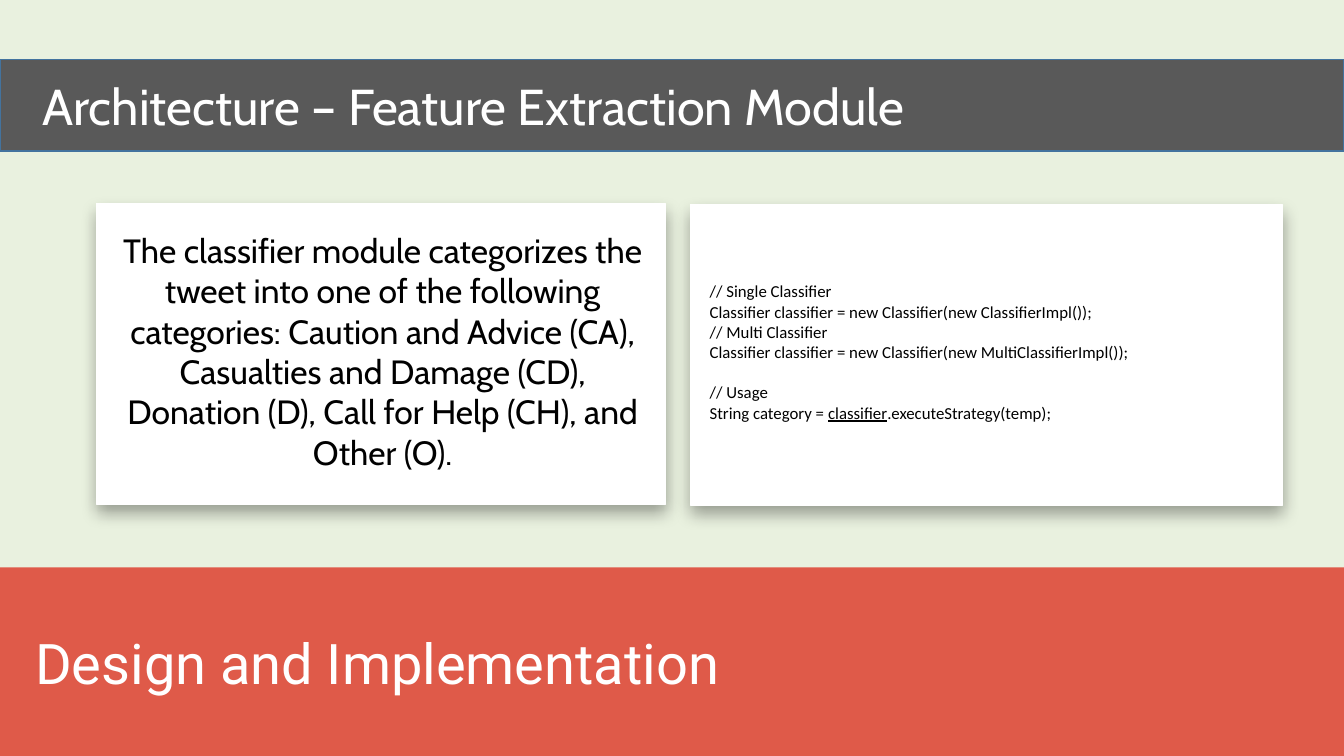
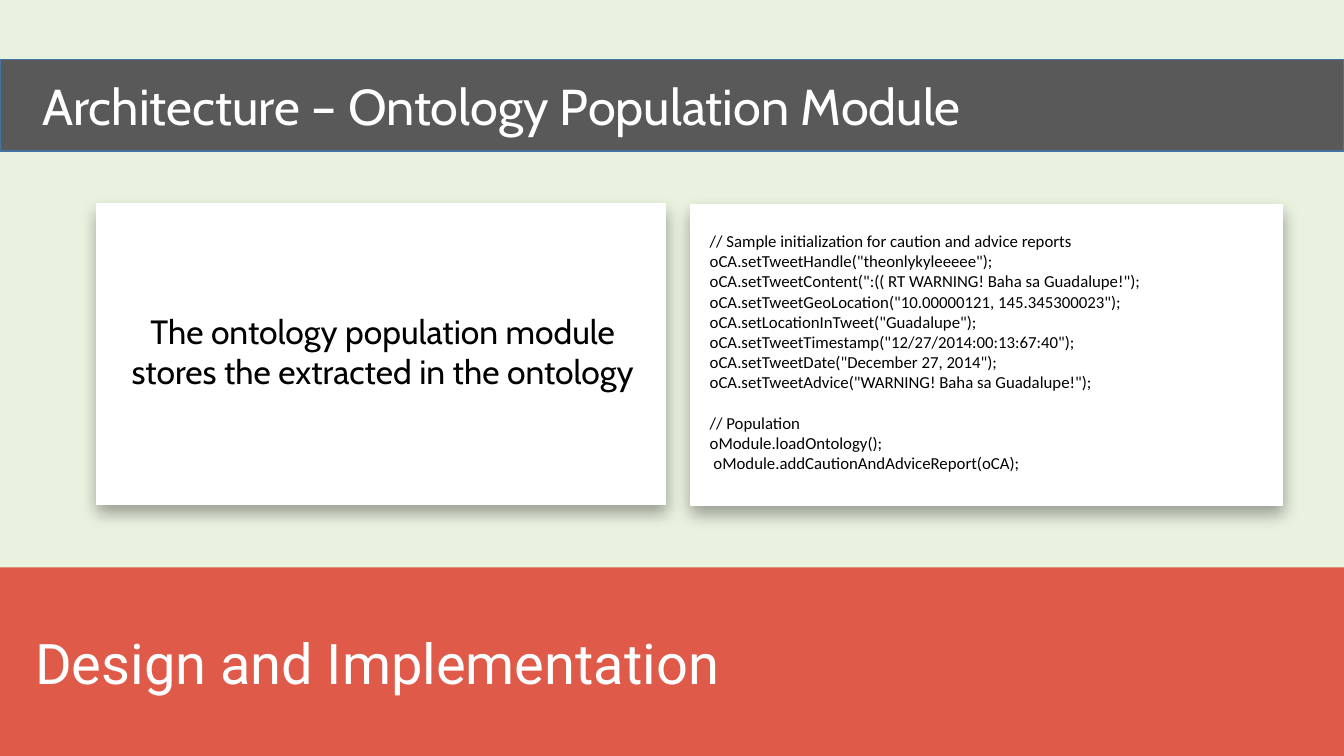
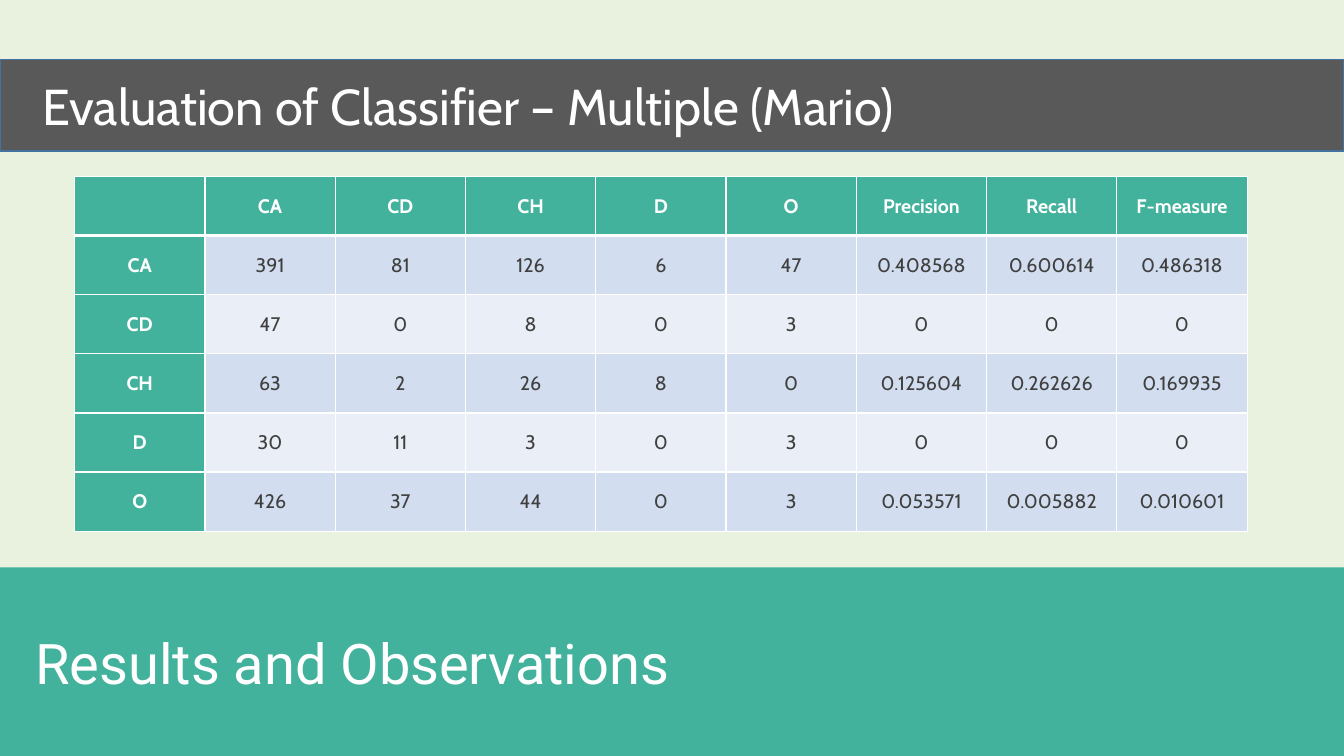
from dataclasses import dataclass
from typing import Optional

from lxml import etree
from pptx import Presentation
from pptx.dml.color import RGBColor
from pptx.enum import shapes, text
from pptx.oxml.ns import qn
from pptx.util import Inches, Pt

PAGE, BAND, BAND_EDGE = "E9F1DF", "595959", "43739E"
RED, GREEN = "DF5A49", "42B29D"
WHITE, BLACK, GREY = "FFFFFF", "000000", "404040"
ROW_TINTS = ("D2DEEF", "EAEFF7")
SLIDE_WIDTH, SLIDE_HEIGHT = 13.33, 7.5
LEFT, CENTER = text.PP_ALIGN.LEFT, text.PP_ALIGN.CENTER


@dataclass(frozen=True)
class Box:
    left: float
    top: float
    width: float
    height: float

    def emu(self) -> tuple:
        return tuple(Inches(v) for v in (self.left, self.top, self.width, self.height))


@dataclass(frozen=True)
class Style:
    font: str
    size: float
    color: str
    align: text.PP_ALIGN = LEFT
    bold: bool = False


@dataclass(frozen=True)
class Section:
    name: str
    color: str


@dataclass(frozen=True)
class Module:
    title: str
    summary: str
    code: str


TITLE = Style("Cabin", 36, WHITE)
SECTION = Style("Roboto", 40, WHITE)
SUMMARY = Style("Cabin", 24, BLACK, CENTER)
CODE = Style("Calibri", 12, BLACK)
HEADING = Style("Cabin", 14, WHITE, CENTER, True)
VALUE = Style("Cabin", 14, GREY, CENTER)

TITLE_BAND = Box(0, 0.59, SLIDE_WIDTH, 0.91)
SECTION_BAND = Box(0, 5.63, SLIDE_WIDTH, 1.87)
SUMMARY_CARD = Box(0.96, 2.02, 5.64, 2.98)
CODE_CARD = Box(6.85, 2.03, 5.87, 2.98)
SCORES = Box(0.74, 1.75, 11.63, 3.52)

DESIGN = Section("Design and Implementation", RED)
RESULTS = Section("Results and Observations", GREEN)

# Text between bars is underlined.
MODULES = (
    Module(
        "Architecture – Feature Extraction Module",
        "The classifier module categorizes the tweet into one of the following "
        "categories: Caution and Advice (CA), Casualties and Damage (CD), "
        "Donation (D), Call for Help (CH), and Other (O).",
        """// Single Classifier
Classifier classifier = new Classifier(new ClassifierImpl());
// Multi Classifier
Classifier classifier = new Classifier(new MultiClassifierImpl());

// Usage
String category = |classifier|.executeStrategy(temp);""",
    ),
    Module(
        "Architecture – Ontology Population Module",
        "The ontology population module stores the extracted in the ontology",
        """// Sample initialization for caution and advice reports
oCA.setTweetHandle("theonlykyleeeee");
oCA.setTweetContent(":(( RT WARNING! Baha sa Guadalupe!");
oCA.setTweetGeoLocation("10.00000121, 145.345300023");
oCA.setLocationInTweet("Guadalupe");
oCA.setTweetTimestamp("12/27/2014:00:13:67:40");
oCA.setTweetDate("December 27, 2014");
oCA.setTweetAdvice("WARNING! Baha sa Guadalupe!");

// Population
oModule.loadOntology();
 oModule.addCautionAndAdviceReport(oCA);""",
    ),
)

SCORE_ROWS = (
    ("", "CA", "CD", "CH", "D", "O", "Precision", "Recall", "F-measure"),
    ("CA", "391", "81", "126", "6", "47", "0.408568", "0.600614", "0.486318"),
    ("CD", "47", "0", "8", "0", "3", "0", "0", "0"),
    ("CH", "63", "2", "26", "8", "0", "0.125604", "0.262626", "0.169935"),
    ("D", "30", "11", "3", "0", "3", "0", "0", "0"),
    ("O", "426", "37", "44", "0", "3", "0.053571", "0.005882", "0.010601"),
)


def rgb(color: str) -> RGBColor:
    return RGBColor.from_string(color)


def style_paragraph(paragraph, style: Style) -> None:
    paragraph.alignment = style.align
    font = paragraph.font
    font.name, font.size, font.bold = style.font, Pt(style.size), style.bold
    font.color.rgb = rgb(style.color)


def write(frame, content: str, style: Style) -> None:
    """Write each line as a paragraph; an empty line becomes space before the next."""
    frame.word_wrap = True
    frame.vertical_anchor = text.MSO_ANCHOR.MIDDLE
    paragraph, gap = frame.paragraphs[0], False
    for index, line in enumerate(content.split("\n")):
        if not line:
            gap = True
            continue
        if index:
            paragraph = frame.add_paragraph()
        if gap:
            paragraph.space_before, gap = Pt(14.5), False
        for part_index, part in enumerate(line.split("|")):
            run = paragraph.add_run()
            run.text = part
            if part_index % 2:
                run.font.underline = True
        style_paragraph(paragraph, style)


def add_rectangle(parent, box: Box, fill: str, edge: Optional[str] = None,
                  edge_width: float = 1):
    rectangle = parent.add_shape(shapes.MSO_SHAPE.RECTANGLE, *box.emu())
    rectangle.shadow.inherit = False
    rectangle.fill.solid()
    rectangle.fill.fore_color.rgb = rgb(fill)
    if edge:
        rectangle.line.color.rgb = rgb(edge)
        rectangle.line.width = Pt(edge_width)
    else:
        rectangle.line.fill.background()
    return rectangle


def add_band(slide, box: Box, fill: str, content: str, style: Style, indent: float,
             edge: Optional[str] = None) -> None:
    band = add_rectangle(slide.shapes, box, fill, edge)
    band.text_frame.margin_left = Inches(indent)
    write(band.text_frame, content, style)


def add_drop_shadow(shape) -> None:
    effects = shape._element.spPr.find(qn("a:effectLst"))
    shadow = etree.SubElement(effects, qn("a:outerShdw"), blurRad=str(Pt(12)),
                              dist=str(Pt(6)), dir="5400000", rotWithShape="0")
    color = etree.SubElement(shadow, qn("a:srgbClr"), val=BLACK)
    etree.SubElement(color, qn("a:alpha"), val="35000")


def add_card(slide, box: Box, content: str, style: Style) -> None:
    card = slide.shapes.add_group_shape().shapes
    add_drop_shadow(add_rectangle(card, box, WHITE, WHITE, 0.5))
    inner = Box(box.left + 0.09, box.top + 0.1, box.width - 0.15, box.height - 0.26)
    write(card.add_textbox(*inner.emu()).text_frame, content, style)


def set_borders(cell, bottom: float) -> None:
    """Draw white borders, 1 pt wide except at the bottom."""
    properties = cell._tc.get_or_add_tcPr()
    widths = {"a:lnL": 1, "a:lnR": 1, "a:lnT": 1, "a:lnB": bottom}
    for index, (tag, width) in enumerate(widths.items()):
        line = etree.Element(qn(tag), w=str(Pt(width)))
        fill = etree.SubElement(line, qn("a:solidFill"))
        etree.SubElement(fill, qn("a:srgbClr"), val=WHITE)
        properties.insert(index, line)


def add_scores(slide) -> None:
    row_count, column_count = len(SCORE_ROWS), len(SCORE_ROWS[0])
    table = slide.shapes.add_table(row_count, column_count, *SCORES.emu()).table
    table.horz_banding = False
    for column in table.columns:
        column.width = Inches(SCORES.width / column_count)
    for r, row in enumerate(SCORE_ROWS):
        table.rows[r].height = Inches(SCORES.height / row_count)
        for c, value in enumerate(row):
            cell = table.cell(r, c)
            is_heading = r == 0 or c == 0
            margin = Inches(0.07 if is_heading else 0.01)
            cell.margin_left = cell.margin_right = margin
            cell.margin_top = cell.margin_bottom = margin
            cell.vertical_anchor = text.MSO_ANCHOR.MIDDLE
            cell.fill.solid()
            cell.fill.fore_color.rgb = rgb(GREEN if is_heading else ROW_TINTS[(r - 1) % 2])
            set_borders(cell, bottom=1 if r else 3)
            cell.text = value
            style_paragraph(cell.text_frame.paragraphs[0], HEADING if is_heading else VALUE)


def add_slide(deck, title: str, section: Section):
    slide = deck.slides.add_slide(deck.slide_layouts[6])
    slide.background.fill.solid()
    slide.background.fill.fore_color.rgb = rgb(PAGE)
    add_band(slide, SECTION_BAND, section.color, section.name, SECTION, 0.35)
    add_band(slide, TITLE_BAND, BAND, title, TITLE, 0.42, BAND_EDGE)
    return slide


def main() -> None:
    deck = Presentation()
    deck.slide_width, deck.slide_height = Inches(SLIDE_WIDTH), Inches(SLIDE_HEIGHT)
    for module in MODULES:
        slide = add_slide(deck, module.title, DESIGN)
        add_card(slide, SUMMARY_CARD, module.summary, SUMMARY)
        add_card(slide, CODE_CARD, module.code, CODE)
    add_scores(add_slide(deck, "Evaluation of Classifier – Multiple (Mario)", RESULTS))
    deck.save("out.pptx")


if __name__ == "__main__":
    main()
